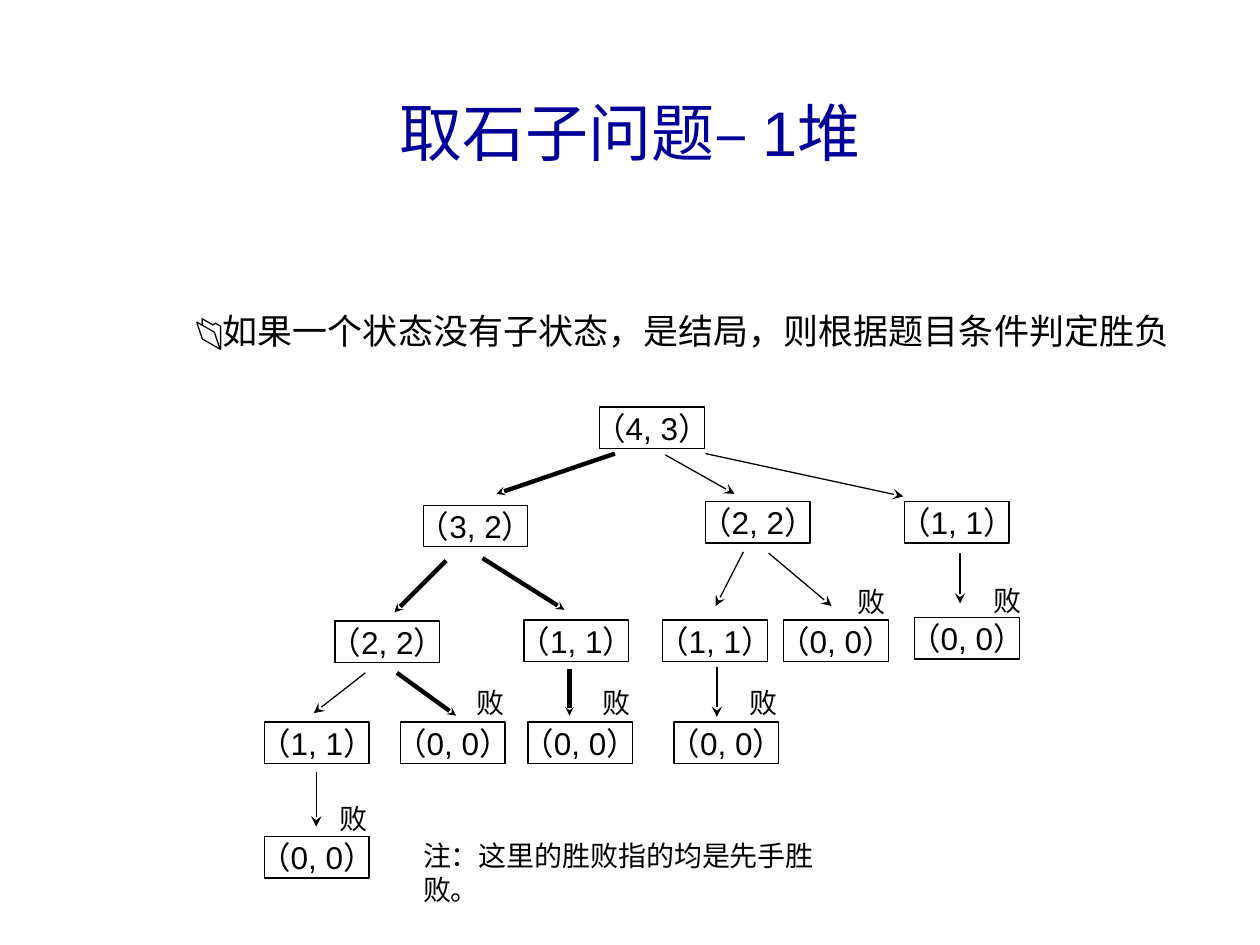
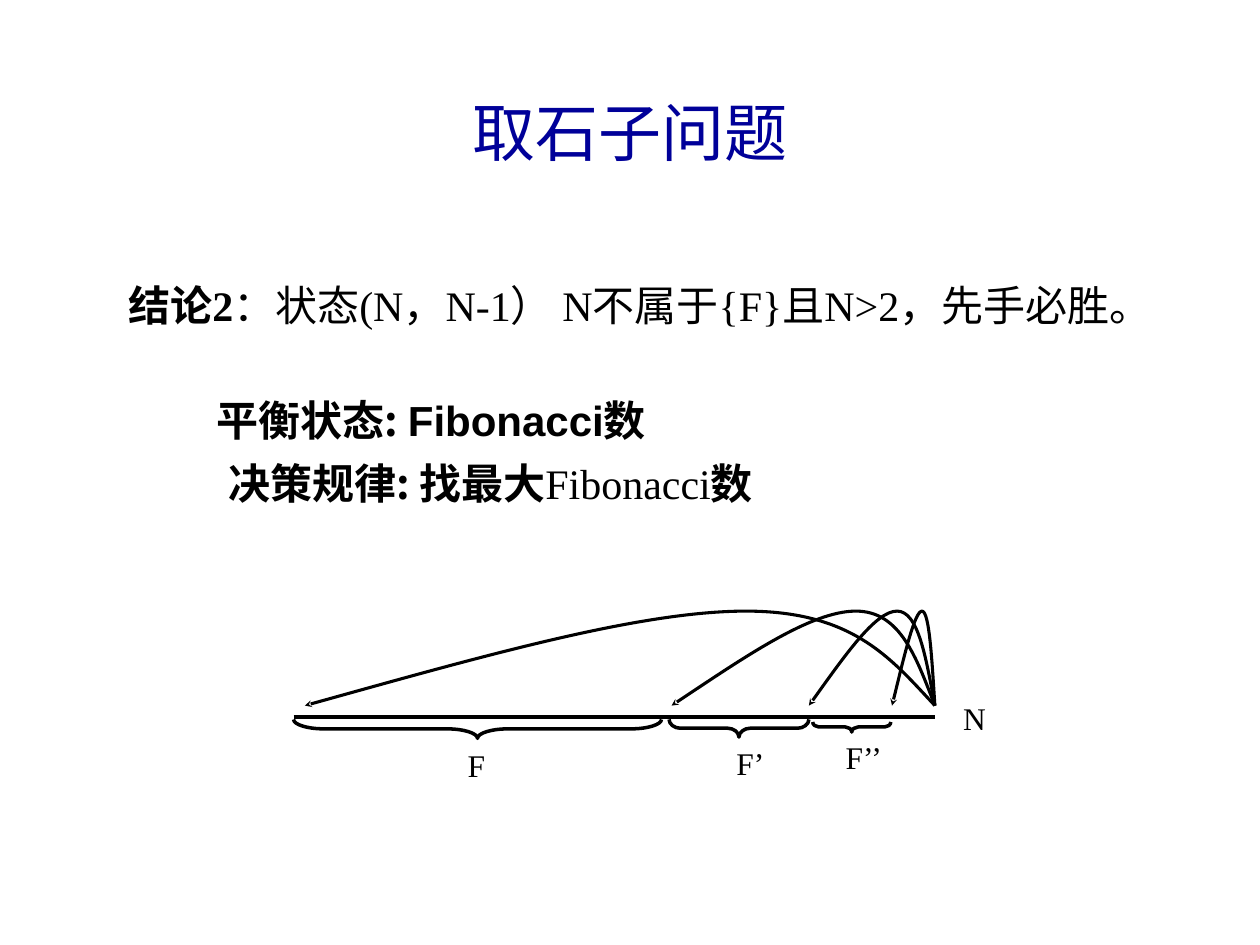
from lxml import etree
from pptx import Presentation
from pptx.dml.color import RGBColor
from pptx.enum.shapes import MSO_CONNECTOR, MSO_SHAPE
from pptx.enum.text import MSO_ANCHOR, PP_ALIGN
from pptx.oxml.ns import qn
from pptx.util import Pt

PX = 9144  # 100 px to the inch
STRAIGHT = MSO_CONNECTOR.STRAIGHT
RECTANGLE = MSO_SHAPE.RECTANGLE
LEFT, CENTER = PP_ALIGN.LEFT, PP_ALIGN.CENTER
TOP, MIDDLE = MSO_ANCHOR.TOP, MSO_ANCHOR.MIDDLE

BLACK = RGBColor(0x00, 0x00, 0x00)
NAVY = RGBColor(0x00, 0x00, 0x99)
SANS, SERIF, CJK = "Arial", "Times New Roman", "Noto Sans CJK SC"


def write(box, spans, size, font=SERIF, color=BLACK, align=LEFT, anchor=TOP, inset=(10, 5)):
    """Fill a box with one paragraph; spans are (text, font, bold) or one string."""
    frame = box.text_frame
    frame.word_wrap = True
    frame.vertical_anchor = anchor
    frame.margin_left = frame.margin_right = inset[0] * PX
    frame.margin_top = frame.margin_bottom = inset[1] * PX
    para = frame.paragraphs[0]
    para.alignment = align
    para._p.get_or_add_pPr().set("hangingPunct", "0")
    para.font.size = Pt(size)
    para.font.color.rgb = color
    if isinstance(spans, str):
        para.add_run().text = spans
        styles = [(para.font, font, None)]
    else:
        styles = []
        for text, name, bold in spans:
            span = para.add_run()
            span.text = text
            styles.append((span.font, name, bold))
    for style, name, bold in styles:
        style.name = name
        style.bold = bold
        east_asian = etree.Element(qn("a:ea"), typeface=CJK)
        style._rPr.find(qn("a:latin")).addnext(east_asian)


def outline(shape, width, arrow=False):
    """Draw a black line without shadow, with an arrowhead if wanted."""
    shape.line.color.rgb = BLACK
    shape.line.width = Pt(width)
    properties = shape._element.spPr
    if arrow:
        head = "sm" if width > 1 else "med"
        etree.SubElement(properties.find(qn("a:ln")), qn("a:tailEnd"),
                         type="stealth", w=head, len=head)
    if properties.find(qn("a:effectLst")) is None:
        etree.SubElement(properties, qn("a:effectLst"))


deck = Presentation()
deck.slide_width, deck.slide_height = 1000 * PX, 750 * PX

# Both pages share one title style
pages = []
for title in ("取石子问题– 1堆", "取石子问题"):
    page = deck.slides.add_slide(deck.slide_layouts[6])
    box = page.shapes.add_textbox(33 * PX, 42 * PX, 934 * PX, 125 * PX)
    write(box, title, 36, SANS, NAVY, CENTER, MIDDLE)
    pages.append(page)
tree_page, rule_page = pages

# Game tree: moves, the winning line in bold
THIN, BOLD = 0.75, 2.5
moves = [
    (488, 360, 394, 392, BOLD), (528, 361, 583, 392, THIN), (560, 360, 717, 394, THIN),
    (354, 445, 313, 486, BOLD), (383, 443, 448, 484, BOLD), (290, 534, 249, 566, THIN),
    (315, 534, 362, 568, BOLD), (251, 613, 251, 656, THIN), (452, 531, 452, 568, BOLD),
    (590, 438, 568, 481, THIN), (610, 439, 660, 481, THIN), (569, 529, 569, 569, THIN),
    (762, 439, 762, 479, THIN),
]
for *ends, width in moves:
    arrow = tree_page.shapes.add_connector(STRAIGHT, *[end * PX for end in ends])
    outline(arrow, width, arrow=True)

# Game tree: states
states = [
    (476, 323, "4, 3"),
    (336, 401, "3, 2"), (560, 398, "2, 2"), (718, 398, "1, 1"),
    (266, 493, "2, 2"), (416, 492, "1, 1"), (526, 492, "1, 1"),
    (622, 492, "0, 0"), (726, 490, "0, 0"),
    (210, 573, "1, 1"), (318, 573, "0, 0"), (419, 573, "0, 0"), (535, 573, "0, 0"),
    (210, 664, "0, 0"),
]
for left, top, state in states:
    node = tree_page.shapes.add_shape(RECTANGLE, left * PX, top * PX, 83 * PX, 33 * PX)
    node.shadow.inherit = False
    node.fill.background()
    outline(node, THIN)
    write(node, f"（{state}）", 18, SANS, align=CENTER, anchor=MIDDLE, inset=(8, 4))
    node.text_frame.word_wrap = False

# Marks for lost games
for left, top in ((260, 631), (368, 539), (468, 539), (585, 539), (671, 459), (779, 458)):
    lost = tree_page.shapes.add_textbox(left * PX, top * PX, 33 * PX, 37 * PX)
    write(lost, "败", 16)

# Note below the tree and rule above it
note = tree_page.shapes.add_textbox(326 * PX, 661 * PX, 367 * PX, 37 * PX)
write(note, "注：这里的胜败指的均是先手胜败。", 16)
rule = tree_page.shapes.add_textbox(133 * PX, 241 * PX, 817 * PX, 44 * PX)
write(rule, "📂如果一个状态没有子状态，是结局，则根据题目条件判定胜负", 20, SANS, align=CENTER)

# Conclusions: box, extra indent, spans
conclusions = [
    (92, 217, 881, 90, 0, [
        ("结论2", SERIF, True),
        ("：状态(N，N-1） N不属于{F}且N>2，先手必胜。", SERIF, False)]),
    (132, 308, 792, 50, 30, [
        ("平衡状态: ", CJK, True), ("Fibonacci", SANS, True), ("数", CJK, True)]),
    (149, 358, 775, 50, 22, [
        ("决策规律: 找最大", CJK, True), ("Fibonacci", SERIF, False), ("数", CJK, True)]),
]
for left, top, width, height, indent, spans in conclusions:
    box = rule_page.shapes.add_textbox(left * PX, top * PX, width * PX, height * PX)
    write(box, spans, 24)
    box.text_frame.margin_left = (10 + indent) * PX

# Number line
axis = rule_page.shapes.add_connector(STRAIGHT, 233 * PX, 569 * PX, 742 * PX, 569 * PX)
outline(axis, 2.75)

# Labels of the number line
for left, top, width, label in (
        (349, 587, 58, "F"), (558, 586, 75, "F’"), (648, 581, 75, "F’’"), (736, 550, 75, "N")):
    box = rule_page.shapes.add_textbox(left * PX, top * PX, width * PX, 40 * PX)
    write(box, label, 18, align=CENTER)

# Outlines as shares of width and height: one point is a line, three are a curve
JUMP = [
    [(1, 1)],
    [(0.93, 0.5), (0.87, 0), (0.7, 0)],
    [(0.53, 0), (0.27, 0.5), (0, 1)],
]
BRACE = [
    [(0, 0)],
    [(0, 0.28), (0.04, 0.5), (0.08, 0.5)],
    [(0.42, 0.5)],
    [(0.46, 0.5), (0.5, 0.72), (0.5, 1)],
    [(0.5, 0.72), (0.54, 0.5), (0.58, 0.5)],
    [(0.92, 0.5)],
    [(0.96, 0.5), (1, 0.28), (1, 0)],
]

# Braces under the number line and jumps back from N
curves = [(BRACE, 233, 571, 292, 15, 2, False), (BRACE, 531, 571, 111, 14, 2, False),
          (BRACE, 645, 573, 62, 8, 2, False)]
curves += [(JUMP, target, 485, 742 - target, 75, 1.75, True) for target in (242, 533, 642, 708)]
for segments, left, top, width, height, weight, arrow in curves:
    points = [(round((left + x * width) * PX), round((top + y * height) * PX))
              for segment in segments for x, y in segment]
    builder = rule_page.shapes.build_freeform(*points[0])
    builder.add_line_segments(points[1:], close=False)
    curve = builder.convert_to_shape()
    steps = list(curve._element.iter(qn("a:lnTo")))
    for segment in segments[1:]:
        group, steps = steps[:len(segment)], steps[len(segment):]
        if len(group) == 3:
            bezier = etree.Element(qn("a:cubicBezTo"))
            group[0].addprevious(bezier)
            for step in group:
                bezier.append(step[0])
                step.getparent().remove(step)
    curve.shadow.inherit = False
    curve.fill.background()
    outline(curve, weight, arrow)

deck.save("out.pptx")
